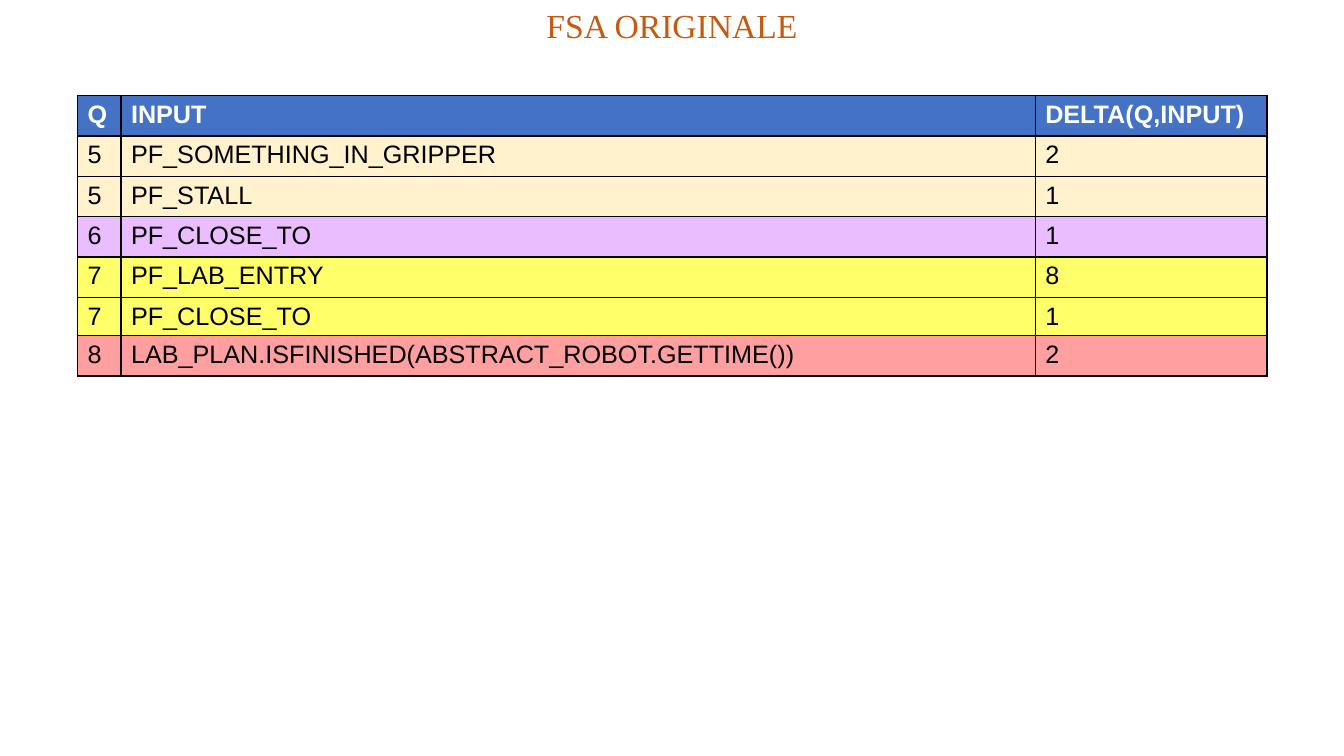
"""Build a slide with the transition table of a finite state automaton."""
from lxml import etree
from pptx import Presentation
from pptx.dml.color import RGBColor
from pptx.enum.text import MSO_AUTO_SIZE, PP_ALIGN
from pptx.oxml.ns import qn
from pptx.util import Pt

CENTER = PP_ALIGN.CENTER
GROW = MSO_AUTO_SIZE.SHAPE_TO_FIT_TEXT

COLORS = {
    "title": "C55A11",
    "header": "4472C4",
    "header_text": "FFFFFF",
    "text": "000000",
    "border": "000000",
    "5": "FFF2CC",
    "6": "E9BDFF",
    "7": "FFFF69",
    "8": "FF9F9F",
}
HEADER = ("Q", "INPUT", "DELTA(Q,INPUT)")
TRANSITIONS = [
    ("5", "PF_SOMETHING_IN_GRIPPER", "2"),
    ("5", "PF_STALL", "1"),
    ("6", "PF_CLOSE_TO", "1"),
    ("7", "PF_LAB_ENTRY", "8"),
    ("7", "PF_CLOSE_TO", "1"),
    ("8", "LAB_PLAN.ISFINISHED(ABSTRACT_ROBOT.GETTIME())", "2"),
]
COLUMN_WIDTHS = (30.96, 653.04, 165.6)
ROW_HEIGHTS = (28.8, 28.8, 28.8, 28.8, 28.8, 20.16, 28.8)


def rgb(name):
    return RGBColor.from_string(COLORS[name])


def add_run(paragraph, text, font_name, size, color, bold=False):
    run = paragraph.add_run()
    run.text = text
    run.font.name = font_name
    run.font.size = Pt(size)
    run.font.bold = bold
    run.font.color.rgb = rgb(color)


def add_borders(cell):
    properties = cell._tc.get_or_add_tcPr()
    for position, side in enumerate(("a:lnL", "a:lnR", "a:lnT", "a:lnB")):
        line = etree.Element(qn(side), w=str(Pt(1)))
        fill = etree.SubElement(line, qn("a:solidFill"))
        etree.SubElement(fill, qn("a:srgbClr"), val=COLORS["border"])
        properties.insert(position, line)


def add_title(slide, text):
    title = slide.shapes.add_textbox(0, 0, Pt(960), Pt(36))
    frame = title.text_frame
    frame.word_wrap = True
    frame.auto_size = GROW
    paragraph = frame.paragraphs[0]
    paragraph.alignment = CENTER
    add_run(paragraph, text, "Times New Roman", 24, "title")


def add_transition_table(slide):
    rows = [HEADER, *TRANSITIONS]
    table = slide.shapes.add_table(
        len(rows), len(HEADER), Pt(55.44), Pt(68.4),
        Pt(sum(COLUMN_WIDTHS)), Pt(sum(ROW_HEIGHTS))).table
    for column, width in zip(table.columns, COLUMN_WIDTHS):
        column.width = Pt(width)
    for row, height, values in zip(table.rows, ROW_HEIGHTS, rows):
        row.height = Pt(height)
        is_header = values is HEADER
        fill_color = "header" if is_header else values[0]
        text_color = "header_text" if is_header else "text"
        for cell, value in zip(row.cells, values):
            cell.fill.solid()
            cell.fill.fore_color.rgb = rgb(fill_color)
            add_borders(cell)
            add_run(cell.text_frame.paragraphs[0], value, "Arial", 18,
                    text_color, is_header)


def main():
    presentation = Presentation()
    presentation.slide_width = Pt(960)
    presentation.slide_height = Pt(540)
    slide = presentation.slides.add_slide(presentation.slide_layouts[6])
    add_transition_table(slide)
    add_title(slide, "FSA ORIGINALE")
    presentation.save("out.pptx")


if __name__ == "__main__":
    main()
